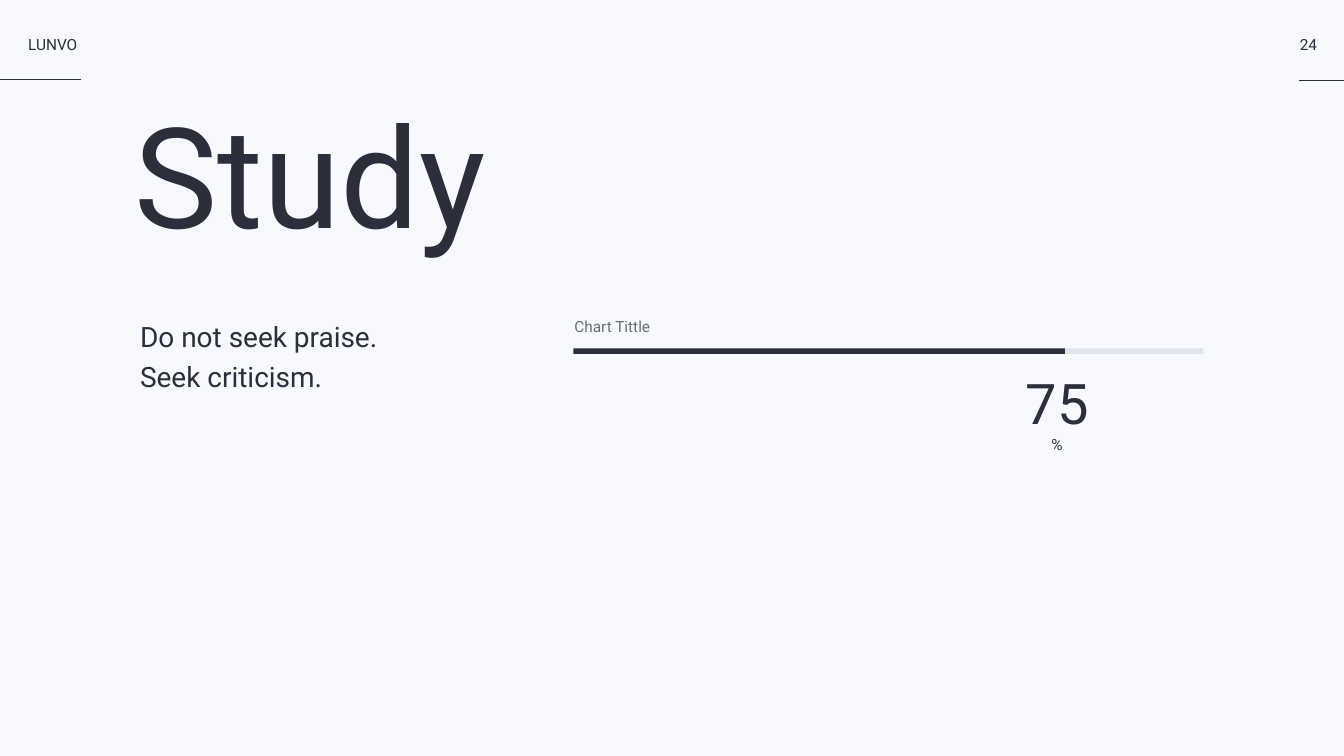
from lxml import etree
from pptx import Presentation
from pptx.dml.color import RGBColor
from pptx.enum.shapes import MSO_CONNECTOR, MSO_SHAPE
from pptx.enum.text import MSO_ANCHOR, MSO_AUTO_SIZE, PP_ALIGN
from pptx.oxml.ns import qn
from pptx.util import Inches, Pt

LEFT, CENTER = PP_ALIGN.LEFT, PP_ALIGN.CENTER
TOP, MIDDLE = MSO_ANCHOR.TOP, MSO_ANCHOR.MIDDLE
FIT, RECT, STRAIGHT = MSO_AUTO_SIZE.SHAPE_TO_FIT_TEXT, MSO_SHAPE.RECTANGLE, MSO_CONNECTOR.STRAIGHT

WIDTH, HEIGHT = Inches(26.67), Inches(15)
FONT = "Roboto"
COLORS = {"paper": "F7F9FF", "ink": "2C2E3C", "gray": "6A6E77"}

# Content: all places are percentages of the slide's width and height
RULES = [(0, 6.04, 10.53), (96.66, 100, 10.67)]  # start, end, height on page
TEXTS = [  # paragraphs, (left, top, width, height), size, color, align, line spacing
    (["LUNVO"], (2.1, 4.6, 3.94, 2.67), 22, "ink", LEFT, 1),
    (["24"], (96.68, 4.6, 1.35, 2.67), 22, "ink", CENTER, 1),
    (["Study"], (10.01, 11.73, 27.45, 24.47), 200, "ink", LEFT, 1),
    (["Chart Tittle"], (42.74, 40.73, 5.66, 2.67), 22, "gray", LEFT, 1.5),
    (["Do not seek praise.", "Seek criticism."],
     (10.42, 41.4, 17.92, 10.8), 40, "ink", LEFT, 1.2),
]
BAR = (42.67, 46.07, 46.87, 0.73)
BAR_FILLED = 0.78  # drawn share of the track
VALUE = [("75", 80), ("%", 22)]
VALUE_PLACE = (75.9, 49.47, 5.51, 9.8)


def color(name):
    return RGBColor.from_string(COLORS[name])


def across(share):
    return round(WIDTH * share / 100)


def down(share):
    return round(HEIGHT * share / 100)


def area(place):
    left, top, width, height = place
    return across(left), down(top), across(width), down(height)


def add_rule(page, start, end, level):
    rule = page.shapes.add_connector(
        STRAIGHT, across(start), down(level), across(end), down(level))
    rule.line.color.rgb = color("ink")
    rule.line.width = Pt(2)
    etree.SubElement(rule.element.spPr, qn("a:effectLst"))


def add_frame(page, place, anchor=TOP):
    frame = page.shapes.add_textbox(*area(place)).text_frame
    frame.margin_left = frame.margin_right = frame.margin_top = frame.margin_bottom = 0
    frame.word_wrap = False
    frame.auto_size = FIT
    frame.vertical_anchor = anchor
    return frame


def style(font, size, name):
    font.name = FONT
    font.size = Pt(size)
    font.color.rgb = color(name)


def add_text(page, lines, place, size, name, align, spacing):
    frame = add_frame(page, place)
    for index, line in enumerate(lines):
        para = frame.add_paragraph() if index else frame.paragraphs[0]
        para.text = line
        para.alignment = align
        para.line_spacing = spacing
        style(para.font, size, name)


def add_bar(page, place):
    bar = page.shapes.add_shape(RECT, *area(place))
    bar.shadow.inherit = False
    bar.fill.solid()
    bar.fill.fore_color.rgb = color("ink")
    bar.line.fill.background()
    return bar


def add_value(page):
    para = add_frame(page, VALUE_PLACE, MIDDLE).paragraphs[0]
    para.alignment = CENTER
    for index, (text, size) in enumerate(VALUE):
        if index:
            para.add_line_break()
        span = para.add_run()
        span.text = text
        style(span.font, size, "ink")


def main():
    deck = Presentation()
    deck.slide_width, deck.slide_height = WIDTH, HEIGHT
    page = deck.slides.add_slide(deck.slide_layouts[6])
    page.background.fill.solid()
    page.background.fill.fore_color.rgb = color("paper")

    # Header rules and all plain texts
    for rule in RULES:
        add_rule(page, *rule)
    for text in TEXTS:
        add_text(page, *text)

    # Progress bar: pale track, filled part and its value
    track = add_bar(page, BAR)
    tint = track.element.spPr.find(qn("a:solidFill")).find(qn("a:srgbClr"))
    etree.SubElement(tint, qn("a:alpha"), val="10000")
    left, top, width, height = BAR
    add_bar(page, (left, top, width * BAR_FILLED, height))
    add_value(page)

    deck.save("out.pptx")


if __name__ == "__main__":
    main()
